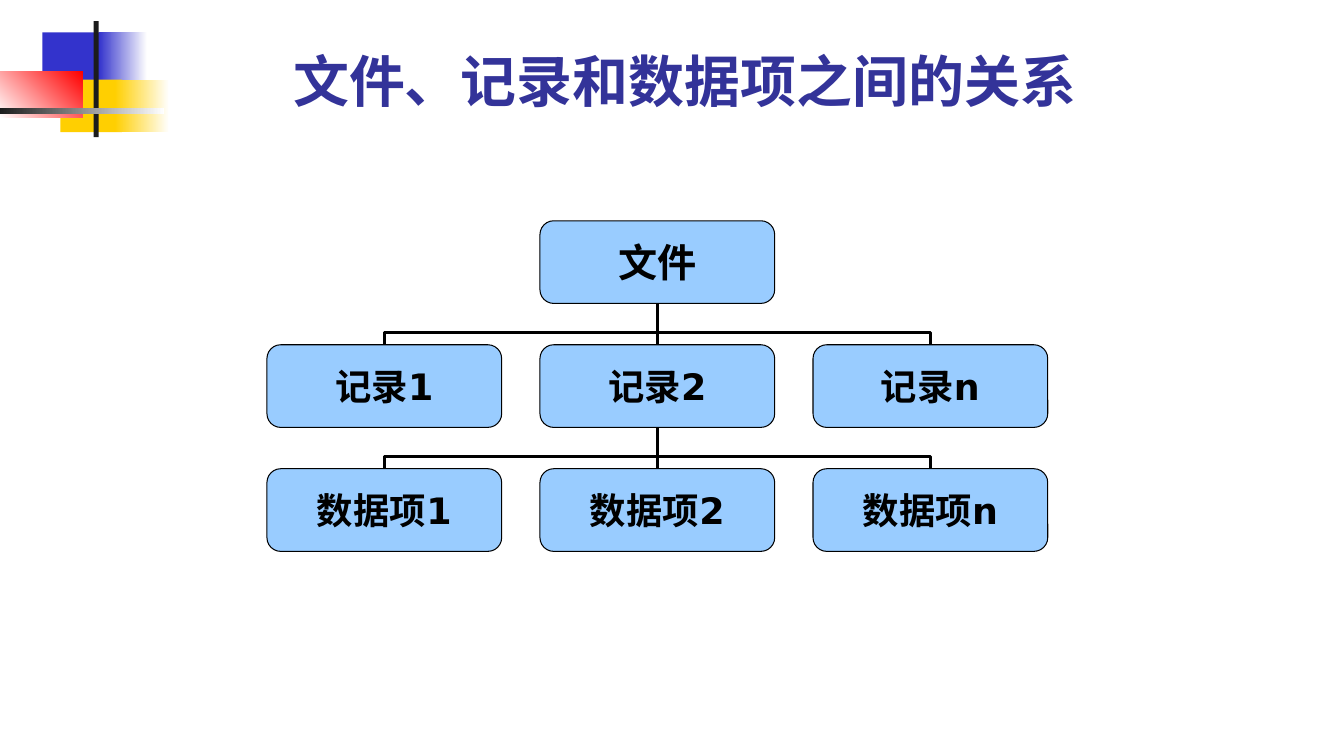
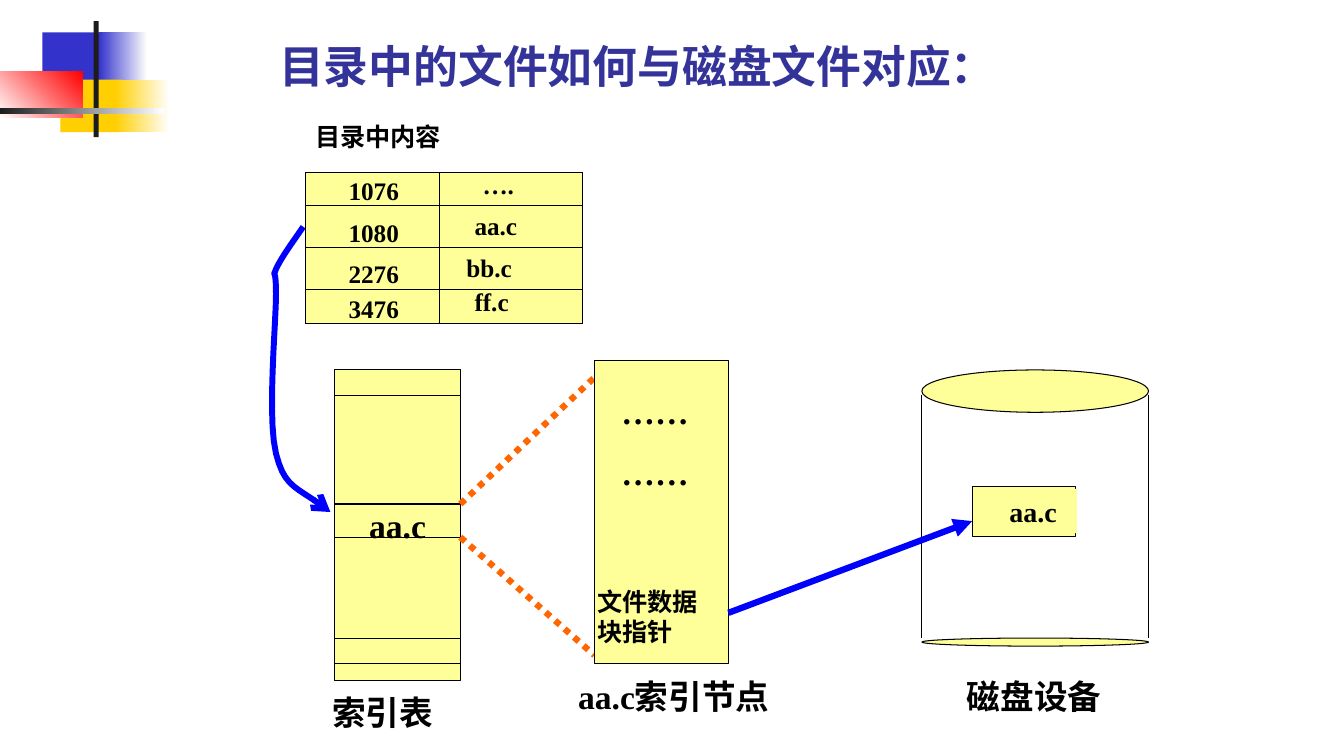
from lxml import etree
from pptx import Presentation
from pptx.dml.color import RGBColor
from pptx.enum import dml, shapes, text
from pptx.oxml import ns
from pptx.util import Pt

PX = 9144  # one px is a hundredth of an inch
WIDE, HIGH = 1334, 750
HEX = dict(blue="3333CC", gold="FFCF01", red="FF0000", dark="1C1C1C",
           white="FFFFFF", black="000000", title="333399", sky="99CCFF",
           cream="FFFF99", arrow="0000FF", dots="FF6600")
SERIF, SANS, HEAD = "Times New Roman", "DejaVu Sans", "Lato"
KIND = shapes.MSO_SHAPE
LEFT, MID = text.PP_ALIGN.LEFT, text.PP_ALIGN.CENTER
TOP, CENTER, BASE = (text.MSO_ANCHOR.TOP, text.MSO_ANCHOR.MIDDLE,
                     text.MSO_ANCHOR.BOTTOM)

# Shared corner art: box, colours, gradient angle
ART = [
    ((42, 32, 64, 52), ["blue"], 0),
    ((98, 32, 48, 52), ["blue", "white"], 0),
    ((60, 79, 61, 52), ["gold"], 0),
    ((114, 79, 54, 52), ["gold", "white"], 0),
    ((0, 71, 82, 46), ["white", "red"], 45),
    ((93, 21, 5, 115), ["dark"], 0),
    ((0, 107, 163, 6), ["dark", "white"], 0),
]

# Slide 1: levels of the tree, by column
TREE = [
    {1: "文件"},
    {0: "记录1", 1: "记录2", 2: "记录n"},
    {0: "数据项1", 1: "数据项2", 2: "数据项n"},
]
TREE_X, TREE_Y, STEP_X, STEP_Y = 265, 219, 271, 123
NODE_W, NODE_H = 233, 82

# Slide 2: number, file name, indent of the name, its anchor
FILES = [
    ("1076", "….", 43, TOP),
    ("1080", "aa.c", 35, CENTER),
    ("2276", "bb.c", 27, CENTER),
    ("3476", "ff.c", 35, TOP),
]
ROWS, COLS = [33, 42, 41, 34], [133, 142]
INDEX = (332, 367, 125, 308)
CUTS = [392, 500, 533, 633, 658]
CURVE = [(301, 225), (290, 241), (279, 256), (274, 267),
         (270, 278), (274, 261), (274, 292),
         (274, 322), (265, 414), (274, 450),
         (283, 486), (295, 482), (328, 508)]
# Captions: box, lines, size, wrap
NOTES = [
    ((303, 115, 250, 40), ["目录中内容"], 18, True),
    ((320, 682, 167, 50), ["索引表"], 24, True),
    ((607, 383, 108, 111), ["……", "……"], 24, True),
    ((583, 577, 120, 70), ["文件数据", "块指针"], 18, False),
    ((564, 666, 217, 84), ["aa.c索引节点"], 24, True),
    ((950, 666, 167, 50), ["磁盘设备"], 24, True),
]


def emu(*nums):
    return [round(n * PX) for n in nums]


def rgb(name):
    return RGBColor.from_string(HEX[name])


def write(frame, lines, size, font=SERIF, color="black", align=LEFT, gap=0):
    """Write each line as one run in its own paragraph."""
    for i, line in enumerate(lines):
        para = frame.add_paragraph() if i else frame.paragraphs[0]
        para.alignment = align
        if i and gap:
            para.space_before = Pt(gap)
        run = para.add_run()
        run.text = line
        face = run.font
        face.name, face.size, face.bold = font, Pt(size), True
        face.color.rgb = rgb(color)


def pad(frame, x, y):
    frame.margin_left = frame.margin_right = x * PX
    frame.margin_top = frame.margin_bottom = y * PX


def shape(slide, box, fill, kind=KIND.RECTANGLE, edge=True):
    item = slide.shapes.add_shape(kind, *emu(*box))
    item.shadow.inherit = False
    item.fill.solid()
    item.fill.fore_color.rgb = rgb(fill)
    if edge:
        item.line.color.rgb, item.line.width = rgb("black"), Pt(0.75)
    else:
        item.line.fill.background()
    return item


def label(item, words, size, font=SERIF, x=10, y=5):
    frame = item.text_frame
    pad(frame, x, y)
    frame.word_wrap, frame.vertical_anchor = False, CENTER
    write(frame, [words], size, font, align=MID)


def tip(item, kind):
    """Put an arrowhead at the end of a line."""
    line = item.element.spPr.get_or_add_ln()
    etree.SubElement(line, ns.qn("a:tailEnd"), type=kind)


def link(slide, start, end, color="black", width=0.75,
         kind=shapes.MSO_CONNECTOR.STRAIGHT):
    item = slide.shapes.add_connector(kind, *emu(*start, *end))
    item.line.color.rgb, item.line.width = rgb(color), Pt(width)
    etree.SubElement(item.element.spPr, ns.qn("a:effectLst"))
    return item


def elbow(slide, child, parent):
    """Join the top of a child to the foot of its parent."""
    (x1, y1), (x2, y2) = child, parent
    item = link(slide, child, parent, width=2.25,
                kind=shapes.MSO_CONNECTOR.ELBOW)
    wide, high = y1 - y2, abs(x1 - x2)
    item.left, item.top, item.width, item.height = emu(
        (x1 + x2 - wide) / 2, (y1 + y2 - high) / 2, wide, high)
    frame = item.element.spPr.find(ns.qn("a:xfrm"))
    right = x1 > x2
    frame.set("rot", "16200000" if right else "5400000")
    frame.set("flipH", "0" if right else "1")
    frame.set("flipV", "1")
    geom = item.element.spPr.find(ns.qn("a:prstGeom"))
    guides = geom.find(ns.qn("a:avLst"))
    if guides is None:
        guides = etree.SubElement(geom, ns.qn("a:avLst"))
    etree.SubElement(guides, ns.qn("a:gd"), name="adj1", fmla="val 30500")


def decorate(slide):
    """Draw the corner art and move it to the layout."""
    first = slide.slide_layout.placeholders[0].element
    for i, (box, tones, angle) in enumerate(ART):
        item = shape(slide, box, tones[0], edge=False)
        if len(tones) > 1:
            item.fill.gradient()
            item.fill.gradient_angle = angle
            for stop, tone in zip(item.fill.gradient_stops, tones):
                stop.color.rgb = rgb(tone)
                stop.position = tones.index(tone)
        item.element.nvSpPr.cNvPr.set("id", str(100 + i))
        first.addprevious(item.element)


def head(slide, words, box, size):
    title = slide.shapes.title
    title.left, title.top, title.width, title.height = emu(*box)
    frame = title.text_frame
    frame.auto_size = text.MSO_AUTO_SIZE.NONE
    frame.word_wrap, frame.vertical_anchor = True, BASE
    write(frame, [words], size, HEAD, "title")


def tree(slide):
    head(slide, "文件、记录和数据项之间的关系", (281, 28, 843, 90), 40)
    hub = TREE_X + STEP_X + NODE_W / 2
    for row, level in enumerate(TREE):
        y = TREE_Y + row * STEP_Y
        for col, words in level.items():
            x = TREE_X + col * STEP_X
            if row:
                child = (x + NODE_W / 2, y)
                parent = (hub, y - STEP_Y + NODE_H)
                if child[0] == hub:
                    link(slide, child, parent, width=2.25)
                else:
                    elbow(slide, child, parent)
            node = shape(slide, (x, y, NODE_W, NODE_H), "sky",
                         KIND.ROUNDED_RECTANGLE)
            label(node, words, 26 if row else 28, SANS, 14, 7)


def fill_cell(cell, words, indent, anchor):
    pad(cell, 0, 0)
    cell.margin_left, cell.vertical_anchor = indent * PX, anchor
    cell.fill.solid()
    cell.fill.fore_color.rgb = rgb("cream")
    write(cell.text_frame, [words], 18)
    props = cell._tc.get_or_add_tcPr()
    for i, side in enumerate(("lnL", "lnR", "lnT", "lnB")):
        edge = etree.Element(ns.qn("a:" + side), w=str(int(Pt(0.75))))
        paint = etree.SubElement(edge, ns.qn("a:solidFill"))
        etree.SubElement(paint, ns.qn("a:srgbClr"), val=HEX["black"])
        props.insert(i, edge)


def files(slide):
    box = (303, 171, sum(COLS), sum(ROWS))
    grid = slide.shapes.add_table(len(ROWS), len(COLS), *emu(*box)).table
    grid.first_row = grid.horz_banding = False
    for part, size in zip(grid.columns, COLS):
        part.width = size * PX
    for part, size in zip(grid.rows, ROWS):
        part.height = size * PX
    for row, (num, name, indent, anchor) in enumerate(FILES):
        fill_cell(grid.cell(row, 0), num, 43, BASE)
        fill_cell(grid.cell(row, 1), name, indent, anchor)


def curve(slide, points, steps=10):
    """Draw a chain of cubic curves with an arrowhead."""
    track = []
    for i in range(0, len(points) - 1, 3):
        quad = points[i:i + 4]
        for n in range(1, steps + 1):
            t = n / steps
            mix = ((1 - t) ** 3, 3 * t * (1 - t) ** 2,
                   3 * t * t * (1 - t), t ** 3)
            track.append(emu(*(sum(m * p[axis] for m, p in zip(mix, quad))
                               for axis in (0, 1))))
    pen = slide.shapes.build_freeform(*emu(*points[0]))
    pen.add_line_segments(track, close=False)
    item = pen.convert_to_shape()
    item.shadow.inherit = False
    item.fill.background()
    item.line.color.rgb, item.line.width = rgb("arrow"), Pt(4.25)
    tip(item, "arrow")


def disk(slide):
    x, wide = 915, 225
    shape(slide, (x, 367, wide, 42), "cream", KIND.OVAL)
    for side in (x, x + wide):
        link(slide, (side, 392), (side, 633))
    shape(slide, (x, 633, wide, 8), "cream", KIND.OVAL)
    shape(slide, (965, 483, 103, 49), "cream")
    label(shape(slide, (982, 485, 87, 44), "cream", edge=False), "aa.c", 20)


def mapping(slide):
    head(slide, "目录中的文件如何与磁盘文件对应：", (267, 28, 900, 69), 32)
    files(slide)
    # Index table and its entry
    label(shape(slide, INDEX, "cream"), "aa.c", 24)
    left, right = INDEX[0], INDEX[0] + INDEX[2]
    for y in CUTS:
        link(slide, (left, y), (right, y))
    curve(slide, CURVE)
    # Index node, seen enlarged
    for y, end in ((CUTS[1], (598, 367)), (CUTS[2], (590, 650))):
        ray = link(slide, (right, y), end, "dots", 4.5)
        ray.line.dash_style = dml.MSO_LINE.ROUND_DOT
    shape(slide, (590, 358, 133, 300), "cream")
    disk(slide)
    tip(link(slide, (723, 608), (965, 517), "arrow", 4.5), "triangle")
    for box, lines, size, wrap in NOTES:
        frame = slide.shapes.add_textbox(*emu(*box)).text_frame
        frame.word_wrap = wrap
        write(frame, lines, size, gap=15 if size == 24 else 0)


def main():
    deck = Presentation()
    deck.slide_width, deck.slide_height = emu(WIDE, HIGH)
    layout = deck.slide_layouts[5]
    for i, build in enumerate((tree, mapping)):
        slide = deck.slides.add_slide(layout)
        if not i:
            decorate(slide)
        build(slide)
    deck.save("out.pptx")


if __name__ == "__main__":
    main()
